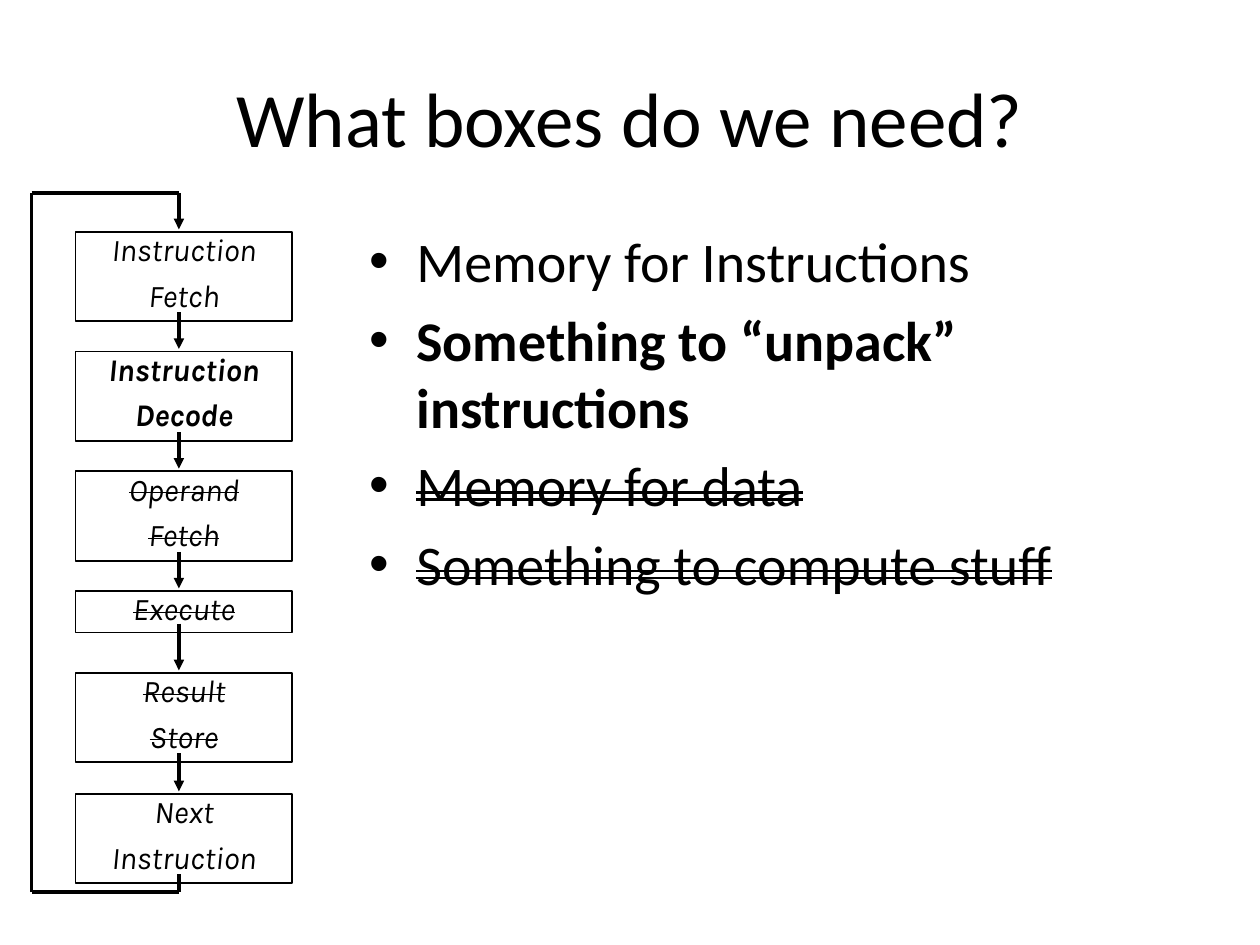
from itertools import pairwise

from lxml import etree
from pptx import Presentation
from pptx.dml.color import RGBColor
from pptx.enum import shapes, text
from pptx.oxml.ns import qn
from pptx.util import Inches, Pt

INK = "000000"
# Lines of each step, its style, and the gap that follows it
STEPS = [
    (["Instruction", "Fetch"], "", 0.24),
    (["Instruction", "Decode"], "bold", 0.24),
    (["Operand", "Fetch"], "struck", 0.24),
    (["Execute"], "struck", 0.32),
    (["Result", "Store"], "struck", 0.25),
    (["Next", "Instruction"], "", 0),
]
NEEDS = [
    ("Memory for Instructions", ""),
    ("Something to “unpack” instructions", "bold"),
    ("Memory for data", "struck"),
    ("Something to compute stuff", "struck"),
]
STEP_HEIGHT = {1: 0.33, 2: 0.71}
OVERLAP = 0.07  # how far an arrow starts inside its box
CLEARANCE = 0.02  # space between an arrow tip and the next box


def colour(hex_value):
    return RGBColor.from_string(hex_value)


def place(shape, box):
    shape.left, shape.top, shape.width, shape.height = map(Inches, box)


def style_paragraph(paragraph, font_name, size, style, strike):
    for run in paragraph.runs:
        run.font.name = font_name
        run.font.size = Pt(size)
        run.font.bold = style == "bold"
        run.font.color.rgb = colour(INK)
        if style == "struck":
            run.font._element.set("strike", strike)


def add_title(slide, box, wording):
    title = slide.shapes.title
    place(title, box)
    title.text_frame.text = wording
    style_paragraph(title.text_frame.paragraphs[0], "Calibri", 44, "", "sngStrike")


def add_needs(slide, box):
    body = slide.placeholders[1]
    place(body, box)
    frame = body.text_frame
    frame.text = "\n".join(need for need, _ in NEEDS)
    for paragraph, (_, style) in zip(frame.paragraphs, NEEDS):
        style_paragraph(paragraph, "Calibri", 32, style, "dblStrike")


def add_line(slide, start, end, arrow=False):
    line = slide.shapes.add_connector(
        shapes.MSO_CONNECTOR.STRAIGHT, *map(Inches, start + end))
    line.line.color.rgb = colour(INK)
    line.line.width = Pt(2)
    if arrow:
        etree.SubElement(line.line._get_or_add_ln(), qn("a:tailEnd"), type="triangle")
    etree.SubElement(line._element.spPr, qn("a:effectLst"))


def add_step(slide, box, lines, style):
    step = slide.shapes.add_shape(shapes.MSO_SHAPE.RECTANGLE, *map(Inches, box))
    step.shadow.inherit = False
    step.fill.background()
    step.line.color.rgb = colour(INK)
    step.line.width = Pt(1)
    frame = step.text_frame
    frame.margin_left = frame.margin_right = Inches(0.07)
    frame.margin_top = frame.margin_bottom = Inches(0.03)
    frame.vertical_anchor = text.MSO_ANCHOR.TOP
    frame.text = "\n".join(lines)
    for number, paragraph in enumerate(frame.paragraphs):
        paragraph.alignment = text.PP_ALIGN.CENTER
        paragraph.line_spacing = 0.86
        if number:
            paragraph.space_before = Pt(7.5)
        style_paragraph(paragraph, "Karla", 18, style, "sngStrike")
        for run in paragraph.runs:
            run.font.italic = True


def add_cycle(slide, box):
    """Stack the steps in the box, with arrows down and a loop back on the left."""
    left, top, width, height = box
    bottom = top + height
    step_left, spine = left + 0.35, left + 1.17
    step_width = left + width - step_left

    extents = []
    step_top = top + 0.31
    for lines, style, gap in STEPS:
        step_height = STEP_HEIGHT[len(lines)]
        add_step(slide, (step_left, step_top, step_width, step_height), lines, style)
        extents.append((step_top, step_top + step_height))
        step_top += step_height + gap

    for (_, step_bottom), (next_top, _) in pairwise(extents):
        add_line(slide, (spine, step_bottom - OVERLAP),
                 (spine, next_top - CLEARANCE), arrow=True)

    loop = [(spine, extents[-1][1] - OVERLAP), (spine, bottom), (left, bottom),
            (left, top), (spine, top), (spine, extents[0][0] - CLEARANCE)]
    for number, (start, end) in enumerate(pairwise(loop), 2):
        add_line(slide, start, end, arrow=number == len(loop))


def main():
    deck = Presentation()
    deck.slide_width, deck.slide_height = Inches(10), Inches(7.5)
    slide = deck.slides.add_slide(deck.slide_layouts[1])
    add_title(slide, (0.5, 0.3, 9, 1.25), "What boxes do we need?")
    add_needs(slide, (2.83, 1.75, 6.67, 4.95))
    add_cycle(slide, (0.25, 1.53, 2.07, 5.55))
    deck.save("out.pptx")


if __name__ == "__main__":
    main()
